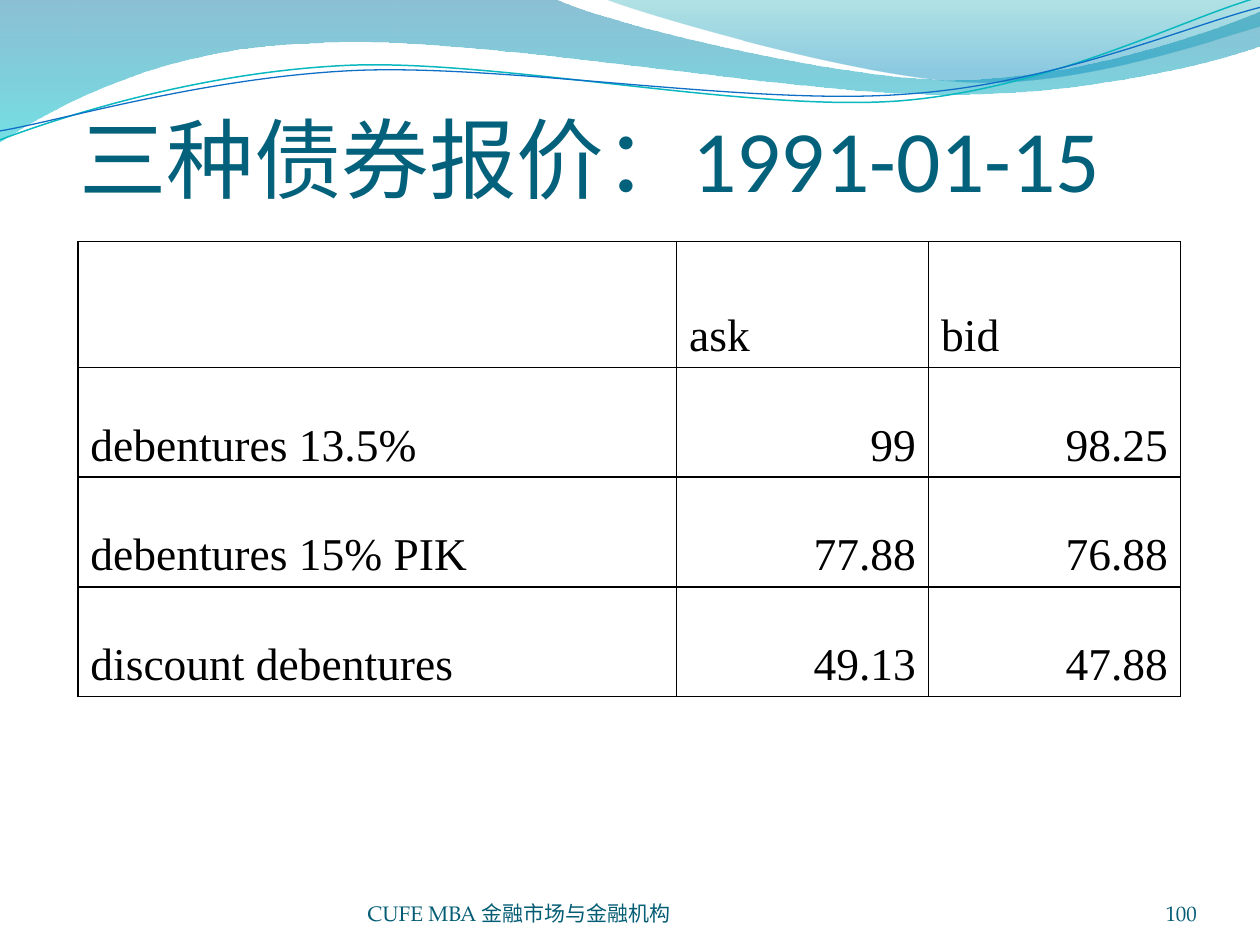
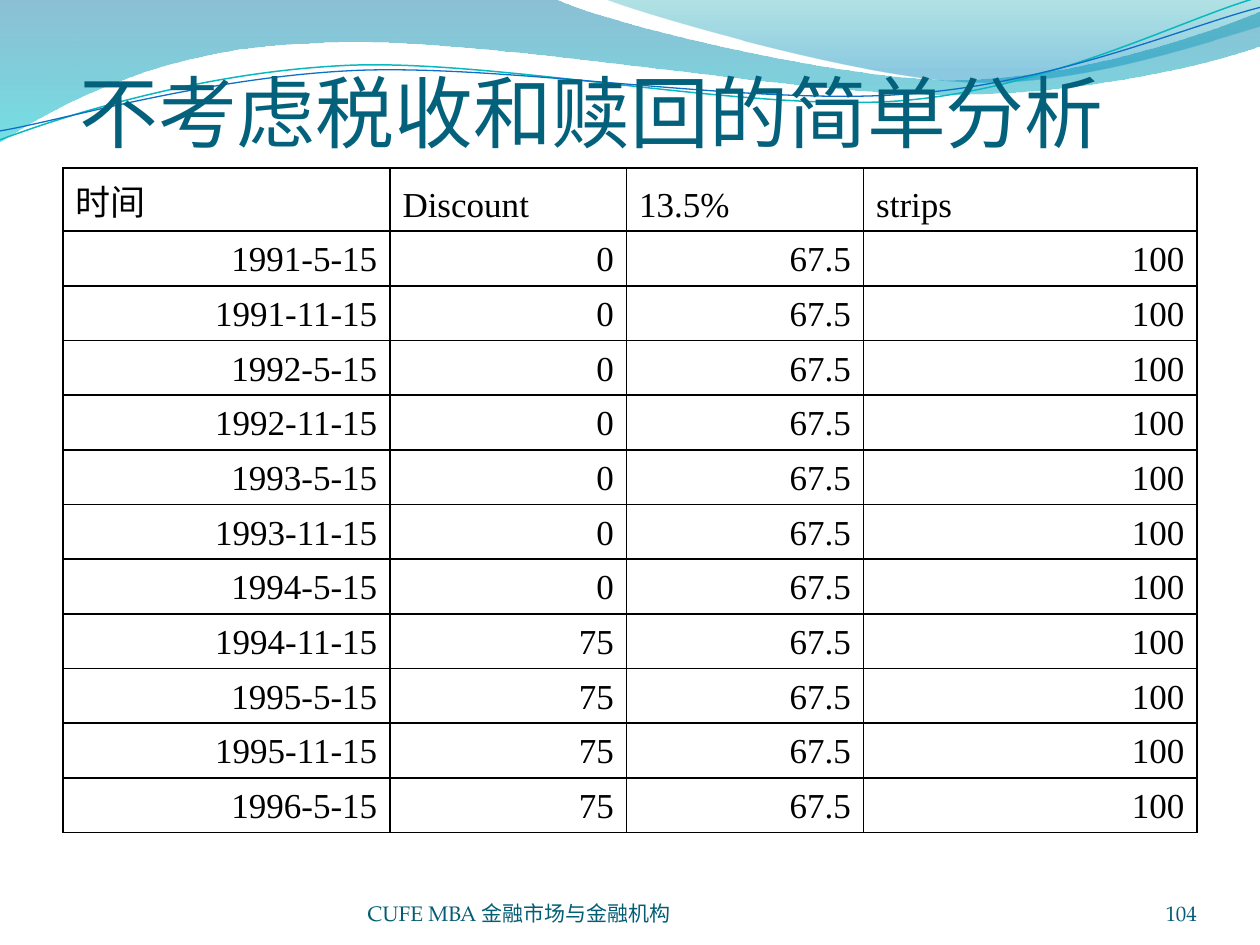
import pptx
import pptx.util
import pptx.dml.color
import pptx.enum.text
import pptx.oxml
import pptx.oxml.ns

Cm, Pt = pptx.util.Cm, pptx.util.Pt
ALIGN = pptx.enum.text.PP_ALIGN
BOTTOM = pptx.enum.text.MSO_ANCHOR.BOTTOM
NS = pptx.oxml.ns.nsdecls("a")
qn = pptx.oxml.ns.qn

HUES = {"title": "04617B", "foot": "045D75", "ink": "000000",
        "blue": "0074A1", "cyan": "00C6CF", "teal": "00A1A9",
        "sky": "008BBF", "aqua": "0AB8BF", "royal": "0F6FC6"}
FACES = {"title": "Calibri", "foot": "TeX Gyre Pagella", "ink": "Times New Roman"}

# Outlines in cm: a one-point step is a line, a three-point step a Bezier curve.
WAVE = [[(0, 0)], [(11.18, -0.03)],
        [(12.09, 0.43), (16.87, 1.6), (19.25, 1.6)],
        [(21.67, 1.6), (24.33, 0.66), (25.4, 0.23)],
        [(25.43, 0.91)],
        [(24.97, 1.12), (22.1, 1.93), (18.95, 1.9)],
        [(15.8, 1.9), (9.7, 0.71), (6.53, 0.86)],
        [(3.28, 0.91), (1.17, 2.11), (-0.03, 2.87)],
        [(0, 0)]]
SAIL = [[(12.17, -0.03)],
        [(12.93, 0.28), (17.32, 1.57), (19.53, 1.65)],
        [(21.74, 1.75), (24.41, 0.81), (25.4, 0.53)],
        [(25.4, 0)], [(12.17, -0.03)]]
# The two threads are given level and then turned by TILT.
TILT = 357.3
UPPER = [[(-0.05, 2.22)],
         [(1.19, 1.82), (4.02, 1.04), (7.05, 1.05)],
         [(10.05, 1.07), (15.02, 2.37), (18.08, 2.29)],
         [(21.13, 2.2), (23.86, 0.91), (25.41, 0.55)]]
LOWER = [[(-0.04, 2.04)],
         [(1.16, 1.9), (4.17, 1.15), (7.2, 1.16)],
         [(10.25, 1.18), (15.13, 2.25), (18.19, 2.16)],
         [(21.21, 2.11), (23.93, 1.06), (25.45, 0.75)]]


def tint(name):
    return pptx.dml.color.RGBColor.from_string(HUES[name])


def draw(slide, steps, close):
    """Draw an outline, joining the points of each three-point step to a curve."""
    dots = [(Cm(x), Cm(y)) for step in steps for x, y in step]
    pen = slide.shapes.build_freeform(*dots[0])
    pen.add_line_segments(dots[1:], close=close)
    shape = pen.convert_to_shape()
    shape.shadow.inherit = False
    lines = iter(list(shape._element.iter(qn("a:lnTo"))))
    for step in steps[1:]:
        parts = [next(lines) for _ in step]
        if len(parts) == 3:
            curve = pptx.oxml.parse_xml(f"<a:cubicBezTo {NS}/>")
            parts[0].addprevious(curve)
            for part in parts:
                curve.append(part[0])
                part.getparent().remove(part)
    return shape


def veil(slide, steps, stops):
    """Draw a translucent area that fades from top to bottom."""
    shape = draw(slide, steps, True)
    shape.line.fill.background()
    marks = "".join(
        f'<a:gs pos="{at * 1000}"><a:srgbClr val="{HUES[name]}">'
        f'<a:alpha val="{alpha * 1000}"/></a:srgbClr></a:gs>'
        for at, name, alpha in stops)
    shape.fill.background()
    props = shape._element.spPr
    props.replace(props.find(qn("a:noFill")), pptx.oxml.parse_xml(
        f'<a:gradFill {NS} rotWithShape="1"><a:gsLst>{marks}</a:gsLst>'
        '<a:lin ang="5400000" scaled="0"/></a:gradFill>'))


def thread(slide, steps, name, width):
    shape = draw(slide, steps, False)
    shape.rotation = TILT
    shape.fill.background()
    shape.line.color.rgb = tint(name)
    shape.line.width = Pt(width)


def band(slide):
    veil(slide, WAVE, [(0, "blue", 45), (100, "cyan", 55)])
    veil(slide, SAIL, [(0, "teal", 30), (80, "sky", 45)])
    thread(slide, UPPER, "aqua", 0.85)
    thread(slide, LOWER, "royal", 0.75)


def style(para, role, size, align=ALIGN.LEFT):
    para.alignment = align
    para.font.name = FACES[role]
    para.font.size = Pt(size)
    para.font.color.rgb = tint(role)


def label(slide, box, text, role, size, align=ALIGN.LEFT, top=0):
    frame = slide.shapes.add_textbox(*map(Cm, box)).text_frame
    frame.word_wrap = True
    frame.vertical_anchor = BOTTOM
    frame.margin_left = frame.margin_right = frame.margin_bottom = 0
    frame.margin_top = Cm(top)
    frame.text = text
    style(frame.paragraphs[0], role, size, align)


def footer(slide, number):
    top, high = 17.65, 1.02
    label(slide, (7.41, top, 9.32, high), "CUFE MBA 金融市场与金融机构", "foot", 12)
    label(slide, (22.02, top, 2.11, high), str(number), "foot", 12, ALIGN.RIGHT)


def hang(para, depth):
    """Give a paragraph a hanging indent."""
    props = para._p.get_or_add_pPr()
    props.set("marL", str(Cm(depth)))
    props.set("indent", str(-Cm(depth)))


def rule(cell):
    """Leave the cell unfilled and line its four sides."""
    cell.fill.background()
    props = cell._tc.get_or_add_tcPr()
    for i, side in enumerate("LRTB"):
        props.insert(i, pptx.oxml.parse_xml(
            f'<a:ln{side} {NS} w="12700"><a:solidFill><a:srgbClr val="{HUES["ink"]}"/>'
            f'</a:solidFill></a:ln{side}>'))


def grid(slide, left, top, cols, head, step, rows, size, texts):
    """Place a ruled table; the first `texts` columns and the header align left."""
    high = head + step * (len(rows) - 1)
    box = map(Cm, (left, top, sum(cols), high))
    table = slide.shapes.add_table(len(rows), len(cols), *box).table
    table.first_row = table.horz_banding = False
    for col, width in zip(table.columns, cols):
        col.width = Cm(width)
    for r, row in enumerate(rows):
        table.rows[r].height = Cm(step if r else head)
        for c, value in enumerate(row):
            cell = table.cell(r, c)
            cell.text = value
            cell.vertical_anchor = BOTTOM
            para = cell.text_frame.paragraphs[0]
            hang(para, 1.3)
            style(para, "ink", size,
                  ALIGN.LEFT if r == 0 or c < texts else ALIGN.RIGHT)
            rule(cell)


def page(deck, title, size, high, number):
    """Add a slide with the band, a title of the given height and a footer."""
    slide = deck.slides.add_slide(deck.slide_layouts[6])
    band(slide)
    label(slide, (1.6, 0.85, 22.22, high), title, "title", size, top=0.13)
    footer(slide, number)
    return slide


def quotes(deck):
    slide = page(deck, "三种债券报价：1991-01-15", 50, 3.39, 100)
    rows = [("", "ask", "bid"),
            ("debentures 13.5%", "99", "98.25"),
            ("debentures 15% PIK", "77.88", "76.88"),
            ("discount debentures", "49.13", "47.88")]
    grid(slide, 1.57, 4.87, (12.07, 5.08, 5.08), 2.54, 2.21, rows, 26, texts=1)


def flows(deck):
    slide = page(deck, "不考虑税收和赎回的简单分析", 45, 2.35, 104)
    dates = [f"{year}-{month}-15" for year in range(1991, 1997) for month in (5, 11)][:-1]
    rows = [("时间", "Discount", "13.5%", "strips")]
    rows += [(date, "0" if i < 7 else "75", "67.5", "100")
             for i, date in enumerate(dates)]
    grid(slide, 1.27, 3.39, (6.59, 4.77, 4.78, 6.72), 1.27, 1.1, rows, 20, texts=0)


def main():
    deck = pptx.Presentation()
    deck.slide_width, deck.slide_height = Cm(25.4), Cm(19.05)
    quotes(deck)
    flows(deck)
    deck.save("out.pptx")


if __name__ == "__main__":
    main()
